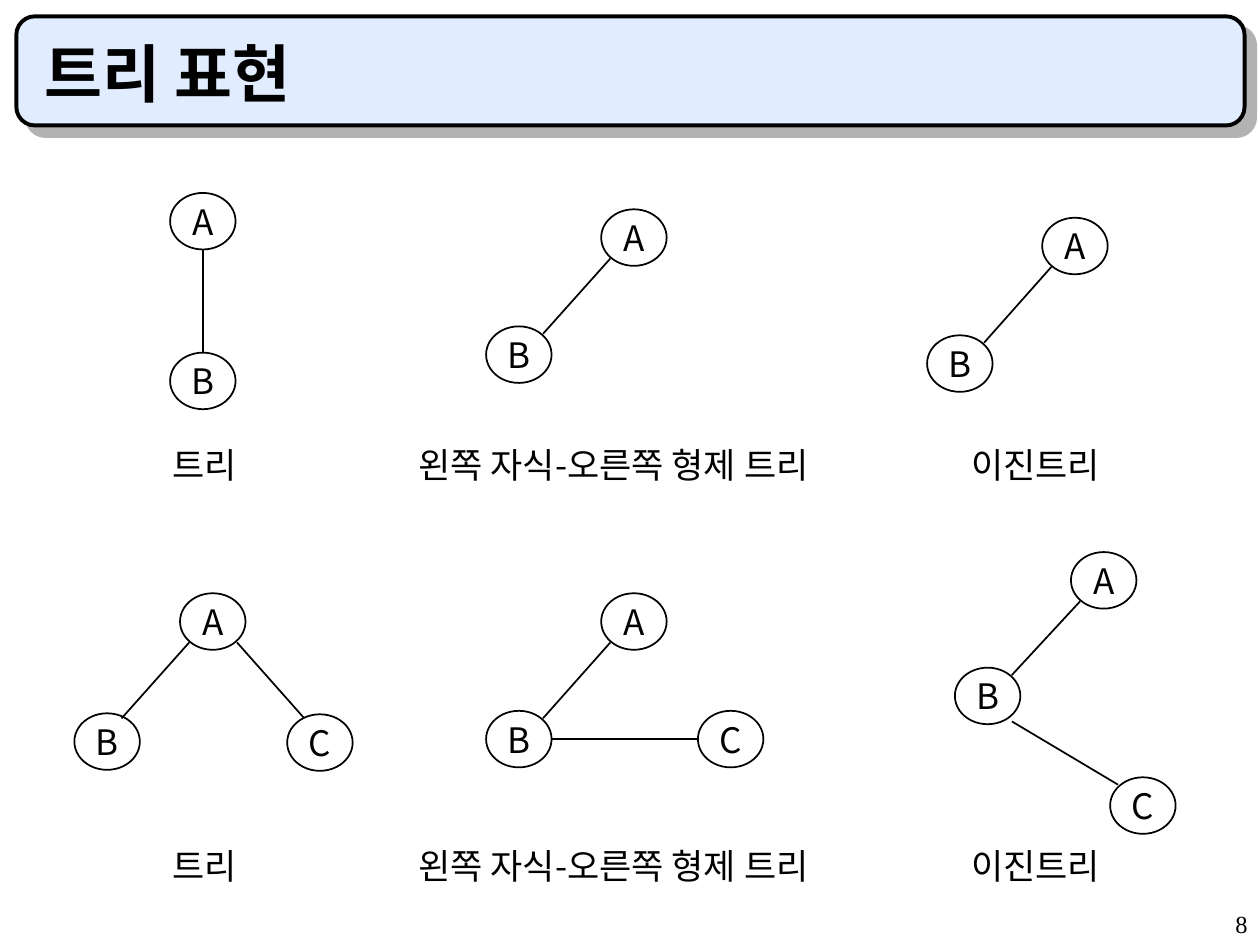
from typing import NamedTuple

from lxml.etree import SubElement as Sub
from pptx import Presentation
from pptx.dml.color import RGBColor
from pptx.enum.shapes import MSO_CONNECTOR as Link, MSO_SHAPE as Kind
from pptx.enum.text import MSO_ANCHOR as Anchor, PP_ALIGN as Align
from pptx.oxml.ns import qn
from pptx.util import Cm, Pt

BLACK = RGBColor(0x00, 0x00, 0x00)
PALE = RGBColor(0xE1, 0xEC, 0xFF)
SANS = "Noto Sans CJK KR"
SERIF = "Times New Roman"
WIDE, HIGH = 1.32, 1.14


class Site(NamedTuple):
    x: float
    y: float


TOP, BOTTOM = Site(0.5, 0), Site(0.5, 1)
LEFT, RIGHT = Site(0, 0.5), Site(1, 0.5)
LOW_LEFT, LOW_RIGHT = Site(0.14, 0.87), Site(0.87, 0.87)
UP_LEFT, UP_RIGHT = Site(0.12, 0.13), Site(0.87, 0.13)


class Node(NamedTuple):
    name: str
    x: float
    y: float

    def at(self, site: Site) -> tuple:
        return Cm(self.x + WIDE * site.x), Cm(self.y + HIGH * site.y)


class Edge(NamedTuple):
    start: str
    leave: Site
    end: str
    enter: Site


class Tree(NamedTuple):
    nodes: list
    edges: list


class Label(NamedTuple):
    text: str
    x: float
    width: float


DOWN = Edge("A", BOTTOM, "B", TOP)
SLANT = Edge("A", LOW_LEFT, "B", UP_RIGHT)

TREES = [
    Tree([Node("A", 3.43, 3.89), Node("B", 3.43, 7.11)], [DOWN]),
    Tree([Node("A", 12.12, 4.22), Node("B", 9.8, 6.58)], [SLANT]),
    Tree([Node("A", 21.01, 4.39), Node("B", 18.69, 6.76)], [SLANT]),
    Tree(
        [Node("A", 3.63, 11.96), Node("B", 1.5, 14.38), Node("C", 5.79, 14.4)],
        [
            Edge("A", LOW_LEFT, "B", Site(0.72, 0.09)),
            Edge("A", LOW_RIGHT, "C", Site(0.26, 0.07)),
        ],
    ),
    Tree(
        [Node("A", 12.12, 11.96), Node("B", 9.8, 14.33), Node("C", 14.07, 14.33)],
        [SLANT, Edge("B", RIGHT, "C", LEFT)],
    ),
    Tree(
        [Node("A", 21.59, 11.13), Node("B", 19.25, 13.46), Node("C", 22.38, 15.67)],
        [SLANT, Edge("B", Site(0.87, 0.95), "C", UP_LEFT)],
    ),
]

LABELS = [
    Label("트리", 3.23, 1.8),
    Label("왼쪽 자식-오른쪽 형제 트리", 8.18, 8.7),
    Label("이진트리", 19.33, 3.2),
]
ROWS = [8.81, 16.89]


def write(frame, text: str, size: float, face: str = SANS,
          bold: bool = False, align: Align = Align.LEFT) -> None:
    line = frame.paragraphs[0]
    line.alignment = align
    run = line.add_run()
    run.text = text
    run.font.color.rgb = BLACK
    style = {"size": Pt(size), "name": face, "bold": bold}
    for key, value in style.items():
        setattr(run.font, key, value)
    Sub(run._r.get_or_add_rPr(), qn("a:ea"), typeface=face)


def add_text(slide, box: tuple, text: str, size: float,
             anchor: Anchor = Anchor.TOP, **style) -> None:
    frame = slide.shapes.add_textbox(*map(Cm, box)).text_frame
    frame.word_wrap = True
    frame.vertical_anchor = anchor
    write(frame, text, size, **style)


def add_banner(slide) -> None:
    shape = slide.shapes.add_shape(
        Kind.ROUNDED_RECTANGLE, Cm(0.33), Cm(0.33), Cm(24.76), Cm(2.2))
    shape.adjustments[0] = 0.17
    shape.fill.solid()
    shape.fill.fore_color.rgb = PALE
    shape.line.color.rgb = BLACK
    shape.line.width = Pt(2.25)
    shape.shadow.inherit = False
    effects = shape._element.spPr.find(qn("a:effectLst"))
    shade = Sub(effects, qn("a:outerShdw"), dist=str(Pt(8.5)),
                dir="2700000", algn="ctr", rotWithShape="0")
    Sub(shade, qn("a:srgbClr"), val="B2B2B2")


def add_node(slide, node: Node) -> None:
    shape = slide.shapes.add_shape(
        Kind.OVAL, Cm(node.x), Cm(node.y), Cm(WIDE), Cm(HIGH))
    shape.shadow.inherit = False
    shape.fill.background()
    shape.line.color.rgb = BLACK
    shape.line.width = Pt(1)
    frame = shape.text_frame
    frame.word_wrap = False
    frame.vertical_anchor = Anchor.MIDDLE
    write(frame, node.name, 20, align=Align.CENTER)


def add_tree(slide, tree: Tree) -> None:
    found = {node.name: node for node in tree.nodes}
    for node in tree.nodes:
        add_node(slide, node)
    for edge in tree.edges:
        line = slide.shapes.add_connector(
            Link.STRAIGHT,
            *found[edge.start].at(edge.leave),
            *found[edge.end].at(edge.enter))
        line.line.color.rgb = BLACK
        line.line.width = Pt(1)
        Sub(line._element.spPr, qn("a:effectLst"))


def main() -> None:
    deck = Presentation()
    deck.slide_width, deck.slide_height = Cm(25.4), Cm(19.05)
    slide = deck.slides.add_slide(deck.slide_layouts[6])
    add_banner(slide)
    add_text(slide, (20.12, 18.21, 5.28, 0.84), "8", 14,
             face=SERIF, align=Align.RIGHT)
    add_text(slide, (0.64, 0.64, 23.93, 1.7), "트리 표현", 36,
             anchor=Anchor.BOTTOM, bold=True)
    for tree in TREES:
        add_tree(slide, tree)
    for top in ROWS:
        for label in LABELS:
            add_text(slide, (label.x, top, label.width, 1.09), label.text, 20)
    deck.save("out.pptx")


if __name__ == "__main__":
    main()
